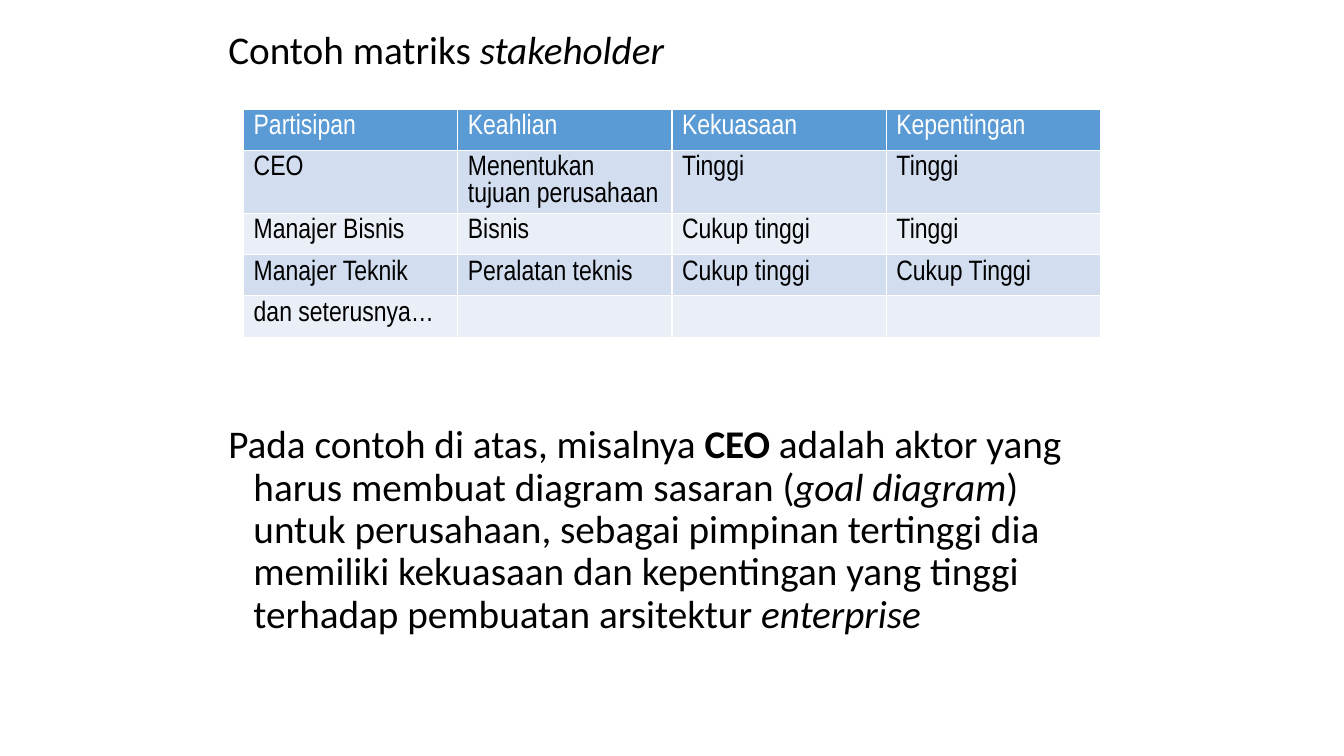
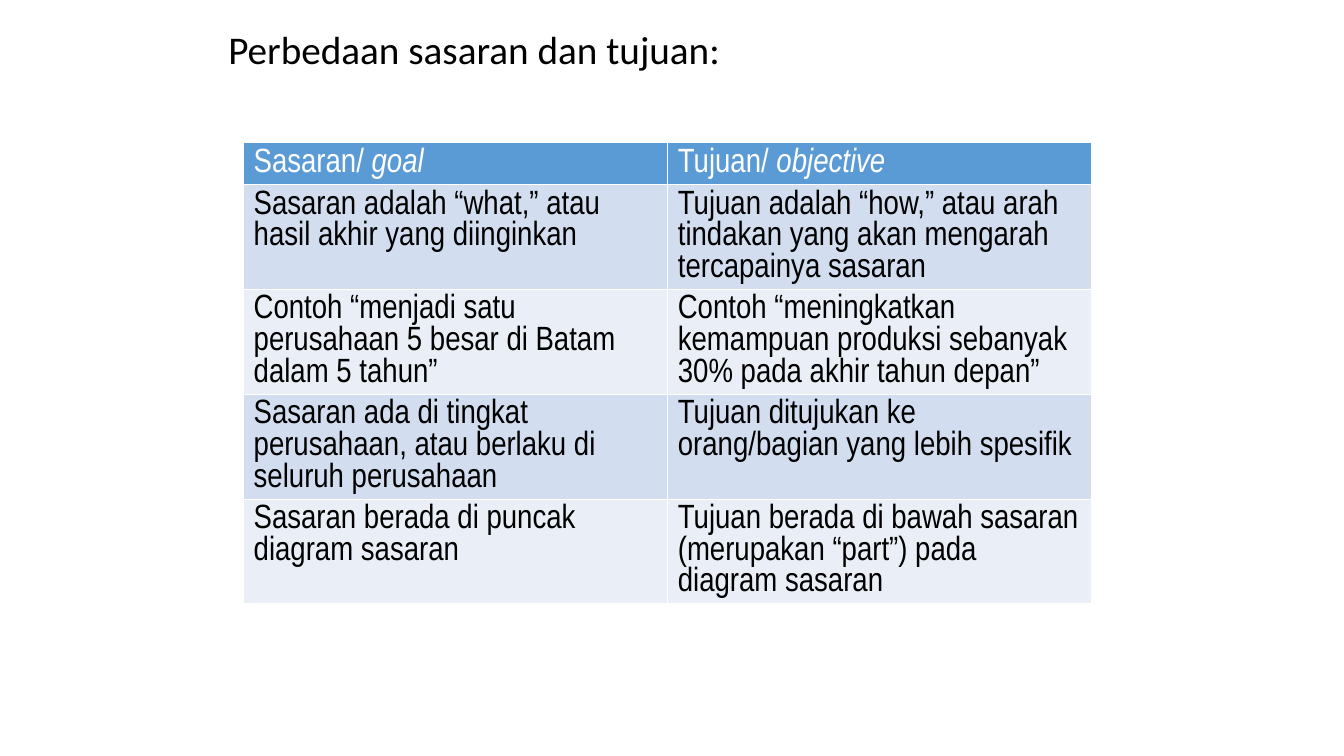
import dataclasses

import lxml.etree
import pptx
import pptx.dml.color
import pptx.oxml.ns
import pptx.util


@dataclasses.dataclass(frozen=True)
class Theme:
    """Colours, fonts, type sizes and the grid shared by all slides."""

    ink: str = "000000"
    paper: str = "FFFFFF"
    header: str = "5B9BD5"
    bands: tuple = ("D2DEEF", "EAEFF7")
    prose_font: str = "Calibri"
    table_font: str = "Arial Narrow"
    prose_size: int = 28
    line_spacing: float = 0.9
    table_leading: float = 0.94
    indent: float = 0.25
    rule: int = 1
    width: float = 13.33
    height: float = 7.5
    columns: int = 160
    rows: int = 90
    table_row: float = 4.92


THEME = Theme()
TITLE_BOX = (26, 3, 108, 8)
EXPLANATION_BOX = (26, 50, 108, 29)

STAKEHOLDERS = [
    ["Partisipan", "Keahlian", "Kekuasaan", "Kepentingan"],
    ["CEO", "Menentukan tujuan perusahaan", "Tinggi", "Tinggi"],
    ["Manajer Bisnis", "Bisnis", "Cukup tinggi", "Tinggi"],
    ["Manajer Teknik", "Peralatan teknis", "Cukup tinggi", "Cukup Tinggi"],
    ["dan seterusnya…", "", "", ""],
]
EXPLANATION = [
    ("Pada contoh di atas, misalnya ", ""),
    ("CEO", "bold"),
    (" adalah aktor yang harus membuat diagram sasaran (", ""),
    ("goal diagram", "italic"),
    (") untuk perusahaan, sebagai pimpinan tertinggi dia memiliki kekuasaan "
     "dan kepentingan yang tinggi terhadap pembuatan arsitektur ", ""),
    ("enterprise", "italic"),
]
GOALS = [
    [[("Sasaran/ ", ""), ("goal", "italic")],
     [("Tujuan/ ", ""), ("objective", "italic")]],
    ["Sasaran adalah “what,” atau hasil akhir yang diinginkan",
     "Tujuan adalah “how,” atau arah tindakan yang akan mengarah tercapainya sasaran"],
    ["Contoh “menjadi satu perusahaan 5 besar di Batam dalam 5 tahun”",
     "Contoh “meningkatkan kemampuan produksi sebanyak 30% pada akhir tahun depan”"],
    ["Sasaran ada di tingkat perusahaan, atau berlaku di seluruh perusahaan",
     "Tujuan ditujukan ke orang/bagian yang lebih spesifik"],
    ["Sasaran berada di puncak diagram sasaran",
     "Tujuan berada di bawah sasaran (merupakan “part”) pada diagram sasaran"],
]


def rgb(colour):
    """Turn a hex string into a colour."""
    return pptx.dml.color.RGBColor.from_string(colour)


def across(columns):
    """Measure grid columns as a share of the slide width."""
    return pptx.util.Inches(THEME.width * columns / THEME.columns)


def down(rows):
    """Measure grid rows as a share of the slide height."""
    return pptx.util.Inches(THEME.height * rows / THEME.rows)


def write(paragraph, content, font, size, colour):
    """Write plain text or (text, emphasis) pairs into a paragraph."""
    parts = [(content, "")] if isinstance(content, str) else content
    for text, emphasis in parts:
        if not text:
            continue
        run = paragraph.add_run()
        run.text = text
        run.font.name = font
        run.font.size = pptx.util.Pt(size)
        run.font.color.rgb = rgb(colour)
        run.font.bold = emphasis == "bold"
        run.font.italic = emphasis == "italic"


def add_prose(slide, box, content):
    """Place one paragraph with a hanging indent in a grid box."""
    left, top, width, height = box
    frame = slide.shapes.add_textbox(
        across(left), down(top), across(width), down(height)).text_frame
    frame.word_wrap = True
    paragraph = frame.paragraphs[0]
    paragraph.line_spacing = THEME.line_spacing
    hang = pptx.util.Inches(THEME.indent)
    properties = paragraph._p.get_or_add_pPr()
    properties.set("marL", str(hang))
    properties.set("indent", str(-hang))
    write(paragraph, content, THEME.prose_font, THEME.prose_size, THEME.ink)


def add_borders(cell):
    """Rule the four sides of a cell in the paper colour."""
    properties = cell._tc.get_or_add_tcPr()
    qn = pptx.oxml.ns.qn
    for side in "LRTB":
        line = lxml.etree.SubElement(
            properties, qn(f"a:ln{side}"), w=str(pptx.util.Pt(THEME.rule)))
        fill = lxml.etree.SubElement(line, qn("a:solidFill"))
        lxml.etree.SubElement(fill, qn("a:srgbClr"), val=THEME.paper)


def add_matrix(slide, box, content, size):
    """Place a banded table with equal columns in a grid box."""
    left, top, width = box
    table = slide.shapes.add_table(
        len(content), len(content[0]), across(left), down(top),
        across(width), down(THEME.table_row * len(content))).table
    for row, texts in enumerate(content):
        is_header = row == 0
        fill = THEME.header if is_header else THEME.bands[(row - 1) % 2]
        ink = THEME.paper if is_header else THEME.ink
        for column, text in enumerate(texts):
            cell = table.cell(row, column)
            add_borders(cell)
            cell.fill.solid()
            cell.fill.fore_color.rgb = rgb(fill)
            paragraph = cell.text_frame.paragraphs[0]
            paragraph.line_spacing = pptx.util.Pt(size * THEME.table_leading)
            write(paragraph, text, THEME.table_font, size, ink)


def add_matrix_slide(deck, title, box, content, size):
    """Add a slide with a title line over a table."""
    slide = deck.slides.add_slide(deck.slide_layouts[6])
    add_prose(slide, TITLE_BOX, title)
    add_matrix(slide, box, content, size)
    return slide


def main():
    """Build and save the presentation."""
    deck = pptx.Presentation()
    deck.slide_width = pptx.util.Inches(THEME.width)
    deck.slide_height = pptx.util.Inches(THEME.height)
    stakeholder_slide = add_matrix_slide(
        deck, [("Contoh matriks ", ""), ("stakeholder", "italic")],
        (29, 13, 102), STAKEHOLDERS, 20)
    add_prose(stakeholder_slide, EXPLANATION_BOX, EXPLANATION)
    add_matrix_slide(
        deck, "Perbedaan sasaran dan tujuan:", (29, 17, 101), GOALS, 24)
    deck.save("out.pptx")


if __name__ == "__main__":
    main()
